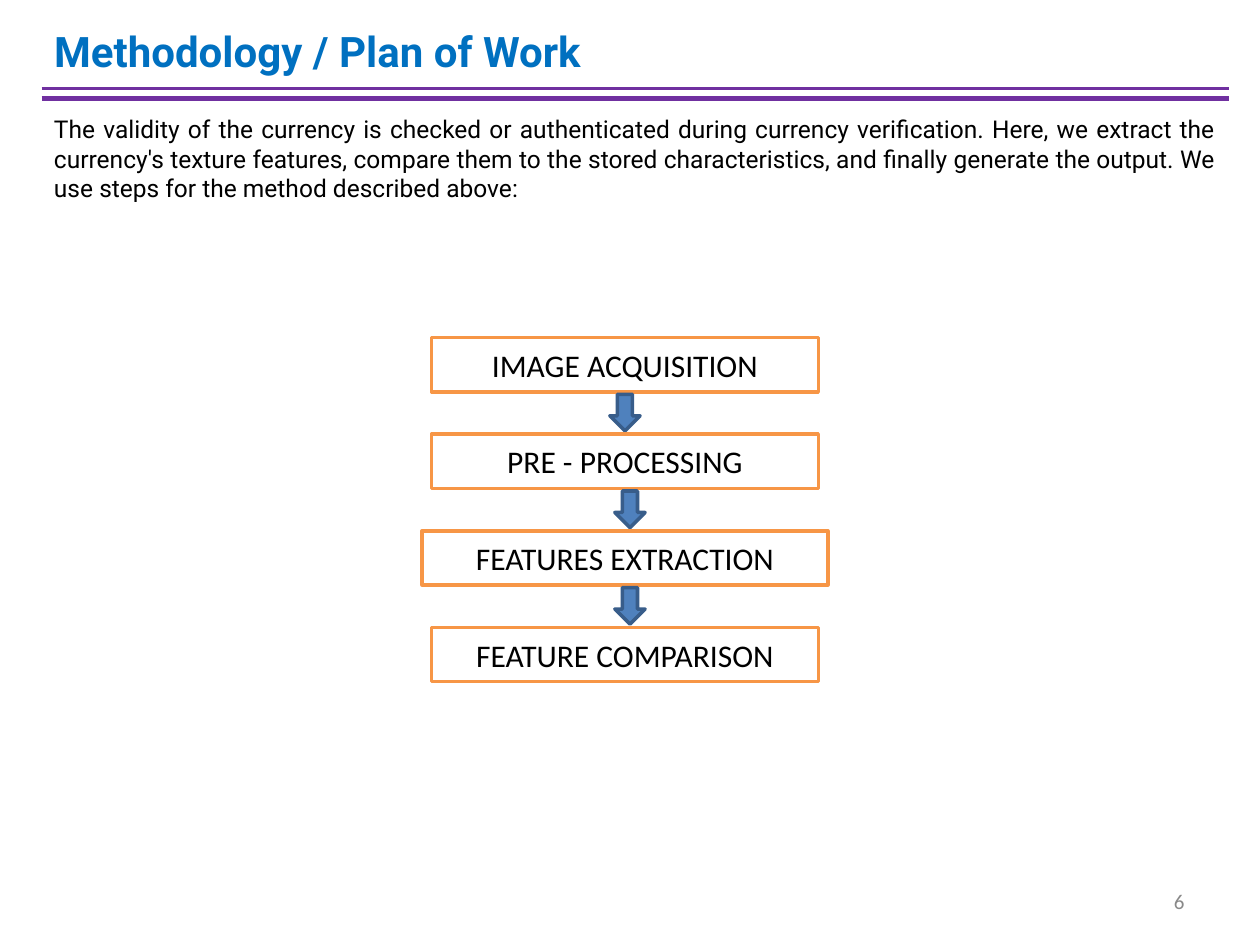
from pptx import Presentation
from pptx import util as u
from pptx.dml.color import RGBColor
from pptx.enum import shapes, text
from pptx.oxml.ns import qn
from lxml import etree

COLOURS = {"title": "0070C0", "rule": "7030A0", "text": "000000", "number": "898989",
           "box": "FFFFFF", "box_line": "F79646", "arrow": "4F81BD", "arrow_line": "385D8A"}
LEFT, WIDTH = 0.33, 9.42
MIDDLE = text.MSO_ANCHOR.MIDDLE


def write(shape, words, colour, align, anchor, **font):
    frame = shape.text_frame
    margins = {"margin_left": 0.1, "margin_right": 0.1, "margin_top": 0.05, "margin_bottom": 0.05}
    for name, value in margins.items():
        setattr(frame, name, u.Inches(value))
    frame.word_wrap = True
    frame.auto_size = text.MSO_AUTO_SIZE.NONE
    frame.vertical_anchor = anchor
    para = frame.paragraphs[0]
    para.alignment = align
    span = para.add_run()
    span.text = words
    for name, value in font.items():
        setattr(span.font, name, value)
    span.font.color.rgb = RGBColor.from_string(COLOURS[colour])


def add_block(kind, left, top, width, height, fill):
    block = page.shapes.add_shape(kind, *map(u.Inches, (left, top, width, height)))
    block.shadow.inherit = False
    block.fill.solid()
    block.fill.fore_color.rgb = RGBColor.from_string(COLOURS[fill])
    block.line.color.rgb = RGBColor.from_string(COLOURS[fill + "_line"])
    block.line.width = u.Pt(2)
    return block


deck = Presentation()
deck.slide_width, deck.slide_height = u.Inches(10), u.Inches(7.5)
page = deck.slides.add_slide(deck.slide_layouts[5])

# Title
title = page.shapes.title
place = {"left": LEFT, "top": 0.18, "width": WIDTH, "height": 0.44}
for name, value in place.items():
    setattr(title, name, u.Inches(value))
write(title, "Methodology / Plan of Work", "title", text.PP_ALIGN.LEFT, MIDDLE,
      name="Roboto", size=u.Pt(24), bold=True)

# Double rule under the title
for y, weight in ((0.7, 1.5), (0.78, 3)):
    rule = page.shapes.add_connector(shapes.MSO_CONNECTOR.STRAIGHT, u.Inches(LEFT), u.Inches(y),
                                     u.Inches(LEFT + WIDTH), u.Inches(y))
    rule.line.color.rgb = RGBColor.from_string(COLOURS["rule"])
    rule.line.width = u.Pt(weight)
    etree.SubElement(rule._element.spPr, qn("a:effectLst"))

# Introduction
intro = page.shapes.add_textbox(*map(u.Inches, (LEFT, 0.86, WIDTH, 1.04)))
write(intro, "The validity of the currency is checked or authenticated during currency verification. "
      "Here, we extract the currency's texture features, compare them to the stored characteristics, "
      "and finally generate the output. We use steps for the method described above:",
      "text", text.PP_ALIGN.JUSTIFY, text.MSO_ANCHOR.TOP, name="Roboto", size=u.Pt(14))

# Flow of steps: label, box width, centre of the arrow below
steps = [("IMAGE ACQUISITION", 3.07, 4.96), ("PRE - PROCESSING", 3.07, 5),
         ("FEATURES EXTRACTION", 3.22, 5), ("FEATURE COMPARISON", 3.07, None)]
first_top, last_top, centre = 2.68, 4.98, 4.96
pitch = (last_top - first_top) / (len(steps) - 1)
for row, (label, width, arrow_centre) in enumerate(steps):
    top = first_top + row * pitch
    box = add_block(shapes.MSO_SHAPE.RECTANGLE, centre - width / 2, top, width, 0.43, "box")
    write(box, label, "text", text.PP_ALIGN.CENTER, MIDDLE, name="Calibri", size=u.Pt(18))
    if arrow_centre:
        add_block(shapes.MSO_SHAPE.DOWN_ARROW, arrow_centre - 0.12, top + 0.45, 0.24, 0.29, "arrow")

# Page number
number = page.shapes.add_textbox(*map(u.Inches, (7.17, 6.95, 2.33, 0.4)))
write(number, "6", "number", text.PP_ALIGN.RIGHT, MIDDLE, name="Calibri", size=u.Pt(12))

deck.save("out.pptx")
